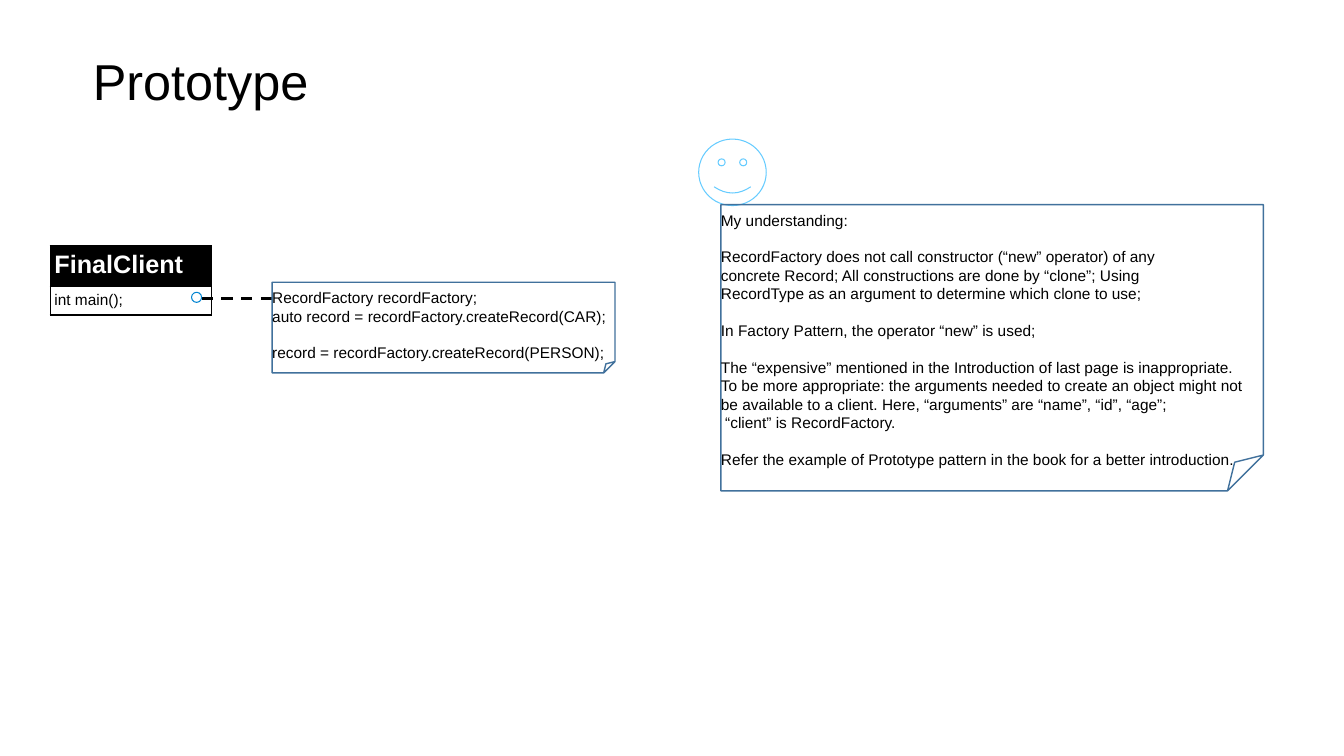
from lxml import etree
from pptx import Presentation
from pptx import util as u
from pptx.dml.color import RGBColor
from pptx.enum import dml, shapes, text
from pptx.oxml.ns import qn

FONT = "Arial"
COLORS = {
    "ink": "000000",
    "paper": "FFFFFF",
    "note": "41719C",
    "anchor": "0084D1",
    "smiley": "66CCFF",
}
UNIT = u.Inches(0.1)  # one grid column and one grid row
BODY_SIZE = 11
BLOCK_GAP = u.Pt(13)

CODE_BLOCKS = [
    ["RecordFactory recordFactory;", "auto record = recordFactory.createRecord(CAR);"],
    ["record = recordFactory.createRecord(PERSON);"],
]
UNDERSTANDING_BLOCKS = [
    ["My understanding:"],
    [
        "RecordFactory does not call constructor (“new” operator) of any",
        "concrete Record; All constructions are done by “clone”; Using",
        "RecordType as an argument to determine which clone to use;",
    ],
    ["In Factory Pattern, the operator “new” is used;"],
    [
        "The “expensive” mentioned in the Introduction of last page is inappropriate.",
        "To be more appropriate: the arguments needed to create an object might not",
        "be available to a client. Here, “arguments” are “name”, “id”, “age”;",
        " “client” is RecordFactory.",
    ],
    ["Refer the example of Prototype pattern in the book for a better introduction."],
]


def grid(*values):
    """Turn grid columns and rows into lengths."""
    return [u.Emu(round(value * UNIT)) for value in values]


def color(name):
    return RGBColor.from_string(COLORS[name])


def add_run(paragraph, words, size=BODY_SIZE, ink="ink", bold=False):
    paragraph.alignment = text.PP_ALIGN.LEFT
    run = paragraph.add_run()
    run.text = words
    run.font.name = FONT
    run.font.size = u.Pt(size)
    run.font.bold = bold
    run.font.color.rgb = color(ink)


def set_margins(target, left, top, right, bottom):
    target.margin_left, target.margin_top = u.Inches(left), u.Inches(top)
    target.margin_right, target.margin_bottom = u.Inches(right), u.Inches(bottom)


def add_title(slide, box, words):
    frame = slide.shapes.add_textbox(*grid(*box)).text_frame
    frame.word_wrap = True
    frame.vertical_anchor = text.MSO_ANCHOR.MIDDLE
    set_margins(frame, 0, 0, 0, 0)
    paragraph = frame.paragraphs[0]
    paragraph.line_spacing = 0.9
    add_run(paragraph, words, size=36)


def add_outline(slide, kind, box, line, width=0):
    shape = slide.shapes.add_shape(kind, *grid(*box))
    shape.shadow.inherit = False
    shape.fill.background()
    shape.line.color.rgb = color(line)
    shape.line.width = u.Pt(width)
    return shape


def set_fold(shape, share):
    """Size the folded corner, which python-pptx offers no adjustment for."""
    geometry = shape._element.spPr.find(qn("a:prstGeom"))
    guides = geometry.find(qn("a:avLst"))
    if guides is None:
        guides = etree.SubElement(geometry, qn("a:avLst"))
    etree.SubElement(guides, qn("a:gd"), name="adj", fmla=f"val {round(share * 100000)}")


def add_note(slide, box, blocks):
    """Folded-corner note whose text blocks are one line apart."""
    shape = add_outline(slide, shapes.MSO_SHAPE.FOLDED_CORNER, box, "note", 1)
    set_fold(shape, 0.125)
    frame = shape.text_frame
    frame.word_wrap = False
    frame.vertical_anchor = text.MSO_ANCHOR.TOP
    set_margins(frame, 0, 0.06, 0.11, 0.06)
    paragraph = frame.paragraphs[0]
    for block_index, block in enumerate(blocks):
        for line_index, line in enumerate(block):
            if block_index or line_index:
                paragraph = frame.add_paragraph()
            if block_index and not line_index:
                paragraph.space_before = BLOCK_GAP
            add_run(paragraph, line)


def set_borders(cell, width):
    properties = cell._tc.get_or_add_tcPr()
    for index, side in enumerate(("a:lnL", "a:lnR", "a:lnT", "a:lnB")):
        line = etree.Element(qn(side), w=str(u.Pt(width)))
        fill = etree.SubElement(line, qn("a:solidFill"))
        etree.SubElement(fill, qn("a:srgbClr"), val=COLORS["ink"])
        properties.insert(index, line)


def add_class_table(slide, box, row_heights, name, method):
    table = slide.shapes.add_table(2, 1, *grid(*box)).table
    styles = [(name, 18, "paper", "ink", True), (method, BODY_SIZE, "ink", "paper", False)]
    for index, (words, size, ink, fill, bold) in enumerate(styles):
        table.rows[index].height = grid(row_heights[index])[0]
        cell = table.cell(index, 0)
        cell.fill.solid()
        cell.fill.fore_color.rgb = color(fill)
        set_margins(cell, 0.04, 0.05, 0.04, 0.05)
        add_run(cell.text_frame.paragraphs[0], words, size, ink, bold)
        set_borders(cell, 1.13)


def add_dashed_line(slide, start, end):
    connector = slide.shapes.add_connector(
        shapes.MSO_CONNECTOR.STRAIGHT, *grid(*start, *end))
    connector.line.color.rgb = color("ink")
    connector.line.width = 0
    connector.line.dash_style = dml.MSO_LINE.DASH
    etree.SubElement(connector._element.spPr, qn("a:effectLst"))


def main():
    presentation = Presentation()
    presentation.slide_width = u.Inches(13.33)
    presentation.slide_height = u.Inches(7.5)
    slide = presentation.slides.add_slide(presentation.slide_layouts[6])

    add_title(slide, (9.2, 4.4, 21.8, 8), "Prototype")
    add_class_table(slide, (5, 24.4, 16, 6.6), (3.9, 2.7), "FinalClient", "int main();")
    add_dashed_line(slide, (20, 29.6), (27, 29.6))
    add_outline(slide, shapes.MSO_SHAPE.OVAL, (19, 29, 1, 1), "anchor")
    add_note(slide, (27, 28, 34, 9), CODE_BLOCKS)
    add_outline(slide, shapes.MSO_SHAPE.SMILEY_FACE, (69.3, 13.8, 6.7, 6.6), "smiley")
    add_note(slide, (71.5, 20.3, 53.8, 28.4), UNDERSTANDING_BLOCKS)

    presentation.save("out.pptx")


if __name__ == "__main__":
    main()
